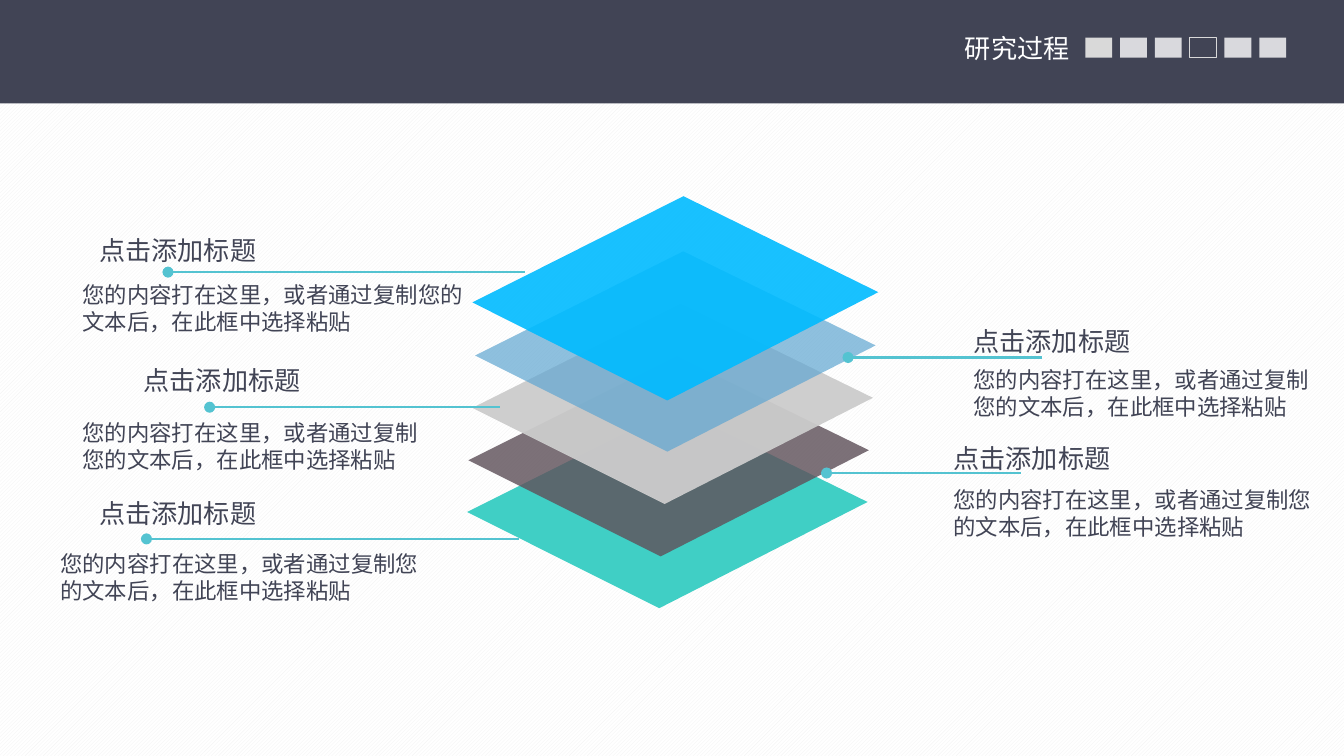
from dataclasses import dataclass

from lxml import etree
from pptx import Presentation
from pptx.dml.color import RGBColor
from pptx.enum.dml import MSO_PATTERN
from pptx.enum.shapes import MSO_CONNECTOR, MSO_SHAPE
from pptx.enum.text import MSO_ANCHOR, MSO_AUTO_SIZE, PP_ALIGN
from pptx.oxml.ns import qn
from pptx.util import Inches, Pt

RECTANGLE = MSO_SHAPE.RECTANGLE
STRAIGHT = MSO_CONNECTOR.STRAIGHT
UPWARD_DIAGONAL = MSO_PATTERN.LIGHT_UPWARD_DIAGONAL
TOP = MSO_ANCHOR.TOP
LEFT = PP_ALIGN.LEFT
NO_AUTOFIT = MSO_AUTO_SIZE.NONE

FONT = "Noto Sans CJK SC"
COLORS = {
    "ink": "414455", "white": "FFFFFF", "hatch": "F2F2F2", "marker": "D9D9D9",
    "leader": "54C3D1", "teal": "40CFC5", "plum": "60525B", "silver": "CCCCCC",
    "mist": "5FA6D1", "sky": "00BBFF",
}
WIDTH = Inches(10)
HEIGHT = WIDTH * 9 // 16
COLUMNS = 100
CELL = WIDTH / COLUMNS

HEADING = "点击添加标题"
BODY = "您的内容打在这里，或者通过复制您的文本后，在此框中选择粘贴"
HEADING_HEIGHT, BODY_HEIGHT = 3.4, 5.1
MARKER_COUNT, CURRENT_MARKER = 6, 3
MARKER_LEFT, MARKER_PITCH = 80.75, 2.59
SHEET_CORNERS = ((0.52, 0), (1, 0.47), (0.48, 1), (0, 0.52))


@dataclass(frozen=True)
class Sheet:
    left: float
    top: float
    width: float
    height: float
    color: str
    opacity: int


@dataclass(frozen=True)
class Callout:
    heading_left: float
    heading_top: float
    heading_width: float
    body_left: float
    body_top: float
    body_width: float
    leader_start: float
    leader_end: float
    leader_row: float


SHEETS = (
    Sheet(34.75, 30.35, 29.8, 14.9, "teal", 100),
    Sheet(34.85, 26.5, 29.8, 14.9, "plum", 82),
    Sheet(35.15, 22.6, 29.8, 14.9, "silver", 95),
    Sheet(35.35, 18.7, 29.8, 14.9, "mist", 70),
    Sheet(35.15, 14.6, 30.2, 15.2, "sky", 90),
)
CALLOUTS = (
    Callout(6.4, 16.95, 18.4, 5.15, 20.45, 31.4, 12.5, 39.1, 20.25),
    Callout(71.45, 23.7, 20.3, 71.45, 26.75, 27.3, 63.1, 77.5, 26.6),
    Callout(69.95, 32.4, 18.8, 69.95, 35.7, 28.9, 61.5, 76, 35.2),
    Callout(9.7, 26.6, 16.7, 5.15, 30.7, 27.1, 15.6, 37.2, 30.3),
    Callout(6.4, 36.5, 18.4, 3.5, 40.45, 28.7, 10.9, 38.6, 40.1),
)


def grid(cells: float) -> int:
    return round(cells * CELL)


def color(name: str) -> RGBColor:
    return RGBColor.from_string(COLORS[name])


def paint(shape, name: str, opacity: int = 100) -> None:
    shape.shadow.inherit = False
    shape.line.fill.background()
    shape.fill.solid()
    shape.fill.fore_color.rgb = color(name)
    if opacity < 100:
        tint = shape._element.spPr.find(qn("a:solidFill")).find(qn("a:srgbClr"))
        etree.SubElement(tint, qn("a:alpha"), val=str(opacity * 1000))


def write(frame, text: str, size: int, ink: str, wrap: bool = True) -> None:
    frame.word_wrap = wrap
    frame.auto_size = NO_AUTOFIT
    frame.vertical_anchor = TOP
    paragraph = frame.paragraphs[0]
    paragraph.text = text
    paragraph.alignment = LEFT
    font = paragraph.font
    font.name, font.size, font.color.rgb = FONT, Pt(size), color(ink)
    latin = paragraph._p.pPr.find(".//" + qn("a:latin"))
    latin.addnext(latin.makeelement(qn("a:ea"), {"typeface": FONT}))


def add_text(shapes, left: float, top: float, width: float, height: float,
             text: str, size: int) -> None:
    box = shapes.add_textbox(*map(grid, (left, top, width, height)))
    write(box.text_frame, text, size, "ink")


def add_header(shapes) -> None:
    band = shapes.add_shape(RECTANGLE, 0, 0, WIDTH, grid(7.7))
    paint(band, "ink")
    title = shapes.title
    title.left, title.top, title.width, title.height = map(grid, (70.8, 1.9, 9.9, 3.4))
    write(title.text_frame, "研究过程", 14, "white", wrap=False)
    title._element.addprevious(band._element)
    for index in range(MARKER_COUNT):
        left = MARKER_LEFT + index * MARKER_PITCH
        marker = shapes.add_shape(RECTANGLE, *map(grid, (left, 2.8, 2, 1.5)))
        if index == 0:
            paint(marker, "marker")
        else:
            paint(marker, "white", 80)
        if index == CURRENT_MARKER:
            marker.fill.background()
            marker.line.color.rgb = color("marker")
            marker.line.width = Pt(0.5)


def add_sheet(shapes, sheet: Sheet) -> None:
    corners = [(grid(sheet.left + x * sheet.width), grid(sheet.top + y * sheet.height))
               for x, y in SHEET_CORNERS]
    outline = shapes.build_freeform(*corners[0])
    outline.add_line_segments(corners[1:], close=True)
    paint(outline.convert_to_shape(), sheet.color, sheet.opacity)


def add_callout(shapes, callout: Callout) -> None:
    row = grid(callout.leader_row)
    leader = shapes.add_connector(STRAIGHT, grid(callout.leader_start), row,
                                  grid(callout.leader_end), row)
    leader.line.color.rgb = color("leader")
    leader.line.width = Pt(1.25)
    stroke = leader._element.spPr.find(qn("a:ln"))
    etree.SubElement(stroke, qn("a:headEnd"), type="oval")
    etree.SubElement(leader._element.spPr, qn("a:effectLst"))
    add_text(shapes, callout.body_left, callout.body_top, callout.body_width,
             BODY_HEIGHT, BODY, 12)
    add_text(shapes, callout.heading_left, callout.heading_top, callout.heading_width,
             HEADING_HEIGHT, HEADING, 14)


def main() -> None:
    deck = Presentation()
    deck.slide_width, deck.slide_height = WIDTH, HEIGHT
    slide = deck.slides.add_slide(deck.slide_layouts.get_by_name("Title Only"))
    backdrop = slide.background.fill
    backdrop.patterned()
    backdrop.pattern = UPWARD_DIAGONAL
    backdrop.fore_color.rgb = color("hatch")
    backdrop.back_color.rgb = color("white")
    add_header(slide.shapes)
    for sheet in SHEETS:
        add_sheet(slide.shapes, sheet)
    for callout in CALLOUTS:
        add_callout(slide.shapes, callout)
    deck.save("out.pptx")


if __name__ == "__main__":
    main()
